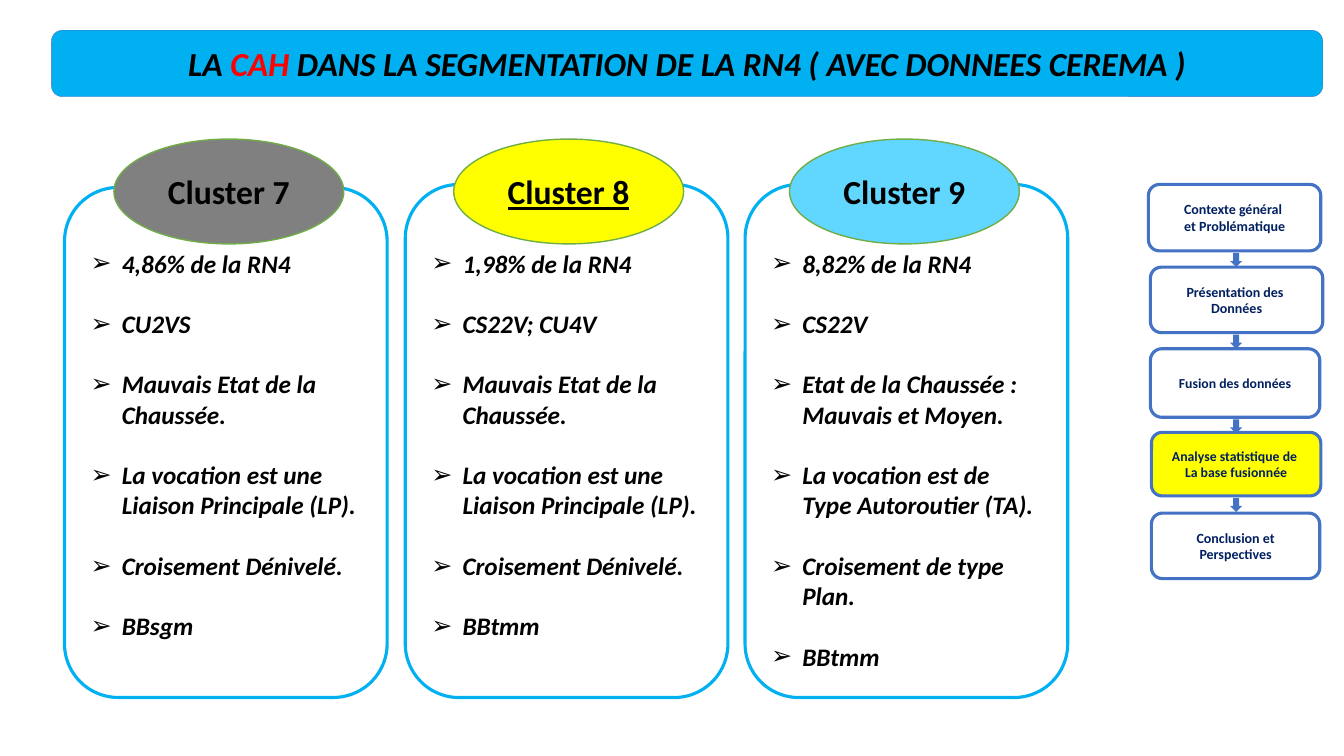
from lxml.etree import SubElement
from pptx import Presentation
from pptx.dml.color import RGBColor
from pptx.enum.shapes import MSO_SHAPE
from pptx.enum.text import MSO_ANCHOR, MSO_AUTO_SIZE, PP_ALIGN
from pptx.oxml.ns import qn
from pptx.util import Pt

PX = 9144  # 100 px to the inch
BLACK, WHITE, YELLOW = "000000", "FFFFFF", "FFFF00"
SKY, BLUE, GREEN, NAVY = "00B0F0", "4472C4", "70AD47", "002060"

TITLE = [("LA ", BLACK), ("CAH", "FF0000"),
         (" DANS LA SEGMENTATION DE LA RN4 ( AVEC DONNEES CEREMA )", BLACK)]

# Card box, badge left, badge fill, underlined, name, findings
CLUSTERS = [
    ((64, 186, 320, 506), 113, "808080", False, "Cluster 7",
     ["4,86% de la RN4", "CU2VS", "Mauvais Etat de la Chaussée.",
      "La vocation est une Liaison Principale (LP).",
      "Croisement Dénivelé.", "BBsgm"]),
    ((402, 183, 320, 509), 450, YELLOW, True, "Cluster 8",
     ["1,98% de la RN4", "CS22V; CU4V", "Mauvais Etat de la Chaussée.",
      "La vocation est une Liaison Principale (LP).",
      "Croisement Dénivelé.", "BBtmm"]),
    ((739, 183, 320, 509), 783, "61D6FF", False, "Cluster 9",
     ["8,82% de la RN4", "CS22V", "Etat de la Chaussée : Mauvais et Moyen.",
      "La vocation est de Type Autoroutier (TA).",
      "Croisement de type Plan.", "BBtmm"]),
]

# Step box, fill, text size, wrapped, lines
STEPS = [
    ((1139, 183, 171, 66), WHITE, 10, False,
     ["Contexte général ", "et Problématique"]),
    ((1141, 265, 171, 65), WHITE, 10, True, ["Présentation des ", "Données"]),
    ((1141, 346, 168, 68), WHITE, 9.8, True, ["Fusion des données"]),
    ((1142, 429, 168, 63), YELLOW, 9.8, True,
     ["Analyse statistique de ", "La base fusionnée"]),
    ((1142, 509, 167, 65), None, 10, True, ["Conclusion et Perspectives"]),
]


def color(hex_string):
    return RGBColor.from_string(hex_string)


def emu(box):
    return [length * PX for length in box]


def add_block(slide, preset, box, fill, line=None, line_width=0):
    block = slide.shapes.add_shape(preset, *emu(box))
    block.shadow.inherit = False
    if fill:
        block.fill.solid()
        block.fill.fore_color.rgb = color(fill)
    else:
        block.fill.background()
    if line:
        block.line.color.rgb = color(line)
        block.line.width = Pt(line_width)
    else:
        block.line.fill.background()
    block.text_frame.vertical_anchor = MSO_ANCHOR.MIDDLE
    return block


def add_run(paragraph, text, size, text_color, **extra):
    run = paragraph.add_run()
    run.text = text
    formats = {"name": "Calibri", "size": Pt(size), "bold": True, **extra}
    for attribute, value in formats.items():
        setattr(run.font, attribute, value)
    run.font.color.rgb = color(text_color)


def paragraphs_for(frame, items):
    for index, item in enumerate(items):
        paragraph = frame.add_paragraph() if index else frame.paragraphs[0]
        yield index, paragraph, item


def add_title(slide, box):
    banner = add_block(slide, MSO_SHAPE.ROUNDED_RECTANGLE, box, SKY, BLUE, 0.25)
    heading = banner.text_frame.paragraphs[0]
    heading.alignment = PP_ALIGN.CENTER
    for text, text_color in TITLE:
        add_run(heading, text, 24, text_color, italic=True)


def add_bullet(paragraph):
    properties = paragraph._p.get_or_add_pPr()
    properties.set("marL", str(31 * PX))
    properties.set("indent", str(-31 * PX))
    SubElement(properties, qn("a:buFont")).set("typeface", "Arial")
    SubElement(properties, qn("a:buChar")).set("char", "➢")


def add_cluster(slide, box, badge_left, badge_fill, underlined, name, findings):
    left, _, width, _ = box
    add_block(slide, MSO_SHAPE.ROUNDED_RECTANGLE, box, WHITE, SKY, 2.25)

    # Name badge
    badge = add_block(slide, MSO_SHAPE.OVAL, (badge_left, 138, 228, 104),
                      badge_fill, GREEN, 1)
    label = badge.text_frame.paragraphs[0]
    label.alignment = PP_ALIGN.CENTER
    add_run(label, name, 24, BLACK, underline=underlined)

    # Findings
    listing = slide.shapes.add_textbox(*emu((left + 16, 241, width - 30, 404)))
    frame = listing.text_frame
    frame.word_wrap = True
    frame.auto_size = MSO_AUTO_SIZE.SHAPE_TO_FIT_TEXT
    for index, paragraph, finding in paragraphs_for(frame, findings):
        add_bullet(paragraph)
        if index:
            paragraph.space_before = Pt(21.6)
        add_run(paragraph, finding, 18, BLACK, italic=True)


def add_step(slide, box, fill, size, wrapped, lines):
    step = add_block(slide, MSO_SHAPE.ROUNDED_RECTANGLE, box, fill, BLUE, 2.25)
    step.text_frame.word_wrap = wrapped
    for _, paragraph, line in paragraphs_for(step.text_frame, lines):
        paragraph.alignment = PP_ALIGN.CENTER
        add_run(paragraph, line, size, NAVY)


def add_outline(slide, arrow_left):
    for step in STEPS:
        add_step(slide, *step)
    # Arrows in the gaps between steps
    for (_, top, _, height), *_ in STEPS[:-1]:
        add_block(slide, MSO_SHAPE.DOWN_ARROW,
                  (arrow_left, top + height + 2, 12, 14), BLUE)


def main():
    deck = Presentation()
    deck.slide_width, deck.slide_height = emu((1333, 750))
    slide = deck.slides.add_slide(deck.slide_layouts[6])
    add_title(slide, (51, 30, 1261, 66))
    for cluster in CLUSTERS:
        add_cluster(slide, *cluster)
    add_outline(slide, 1220)
    deck.save("out.pptx")


if __name__ == "__main__":
    main()
